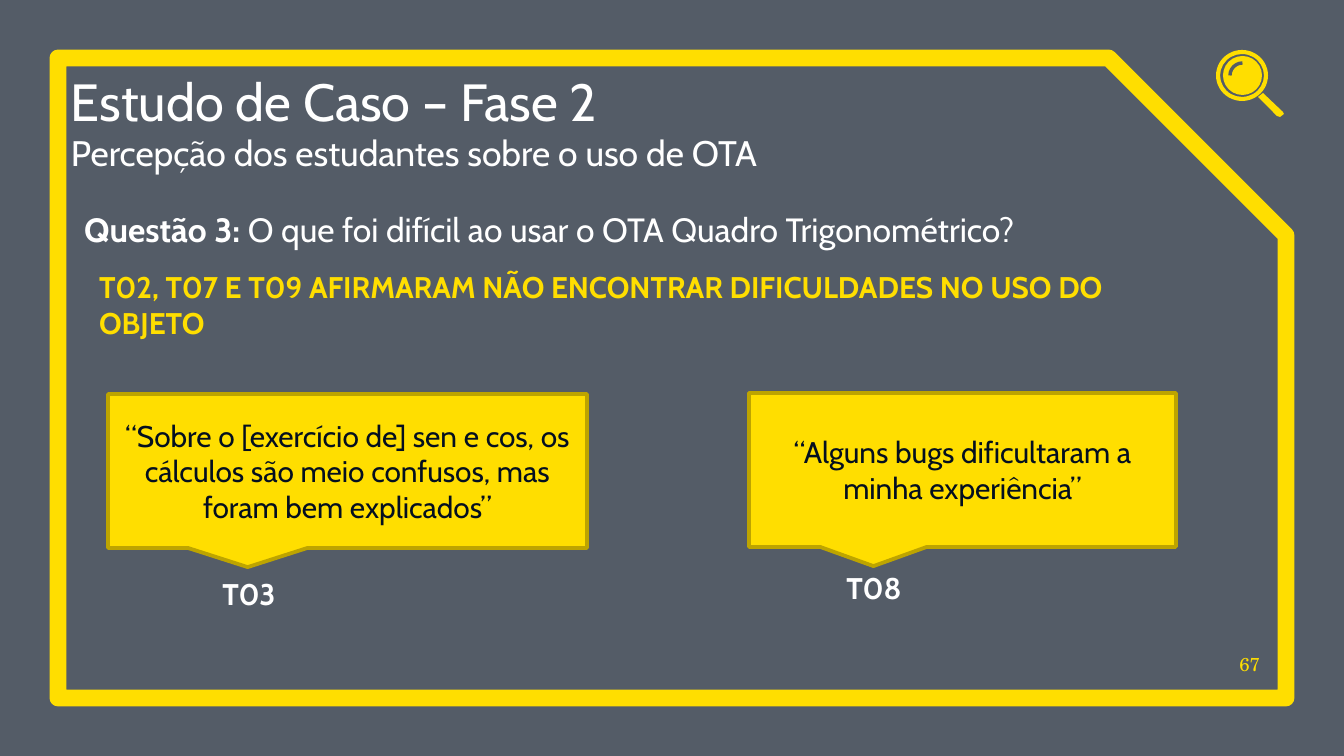
import lxml.etree
import pptx
import pptx.dml.color
import pptx.enum.shapes
import pptx.enum.text
import pptx.oxml.ns
import pptx.util

SCALE = 914400 / 134.4
SHAPE = pptx.enum.shapes.MSO_SHAPE
ALIGN = pptx.enum.text.PP_ALIGN
ANCHOR = pptx.enum.text.MSO_ANCHOR
YELLOW, WHITE, NAVY, GOLD, SLATE = "FFDE00", "FFFFFF", "040F20", "BDA400", "545C67"


def px(length):
    return pptx.util.Emu(round(length * SCALE))


def color(hex_code):
    return pptx.dml.color.RGBColor.from_string(hex_code)


def child(parent, tag, **attributes):
    return lxml.etree.SubElement(parent, pptx.oxml.ns.qn(tag), attributes)


def add_text_shadow(run):
    effects = child(run._r.get_or_add_rPr(), "a:effectLst")
    shadow = child(effects, "a:outerShdw", blurRad="38100", dist="38100",
                   dir="2700000", algn="tl")
    tint = child(shadow, "a:srgbClr", val="000000")
    child(tint, "a:alpha", val="43000")


def write(paragraph, text, size=16, hex_code=WHITE, bold=False, font="Cabin",
          align=ALIGN.LEFT, shadow=False):
    paragraph.alignment = align
    run = paragraph.add_run()
    run.text = text
    run.font.size = pptx.util.Pt(size)
    run.font.bold = bold
    run.font.color.rgb = color(hex_code)
    if shadow:
        add_text_shadow(run)
    run.font.name = font


class Deck:
    def __init__(self, width, height):
        self.presentation = pptx.Presentation()
        self.presentation.slide_width = px(width)
        self.presentation.slide_height = px(height)
        self.slide = self.presentation.slides.add_slide(self.presentation.slide_layouts[6])

    def paint(self, shape, fill=None, line=None, weight=1):
        shape.shadow.inherit = False
        if fill:
            shape.fill.solid()
            shape.fill.fore_color.rgb = color(fill)
        else:
            shape.fill.background()
        if line:
            shape.line.color.rgb = color(line)
            shape.line.width = pptx.util.Pt(weight)
        else:
            shape.line.fill.background()
        return shape

    def shape(self, kind, box, adjustments=(), **style):
        shape = self.slide.shapes.add_shape(kind, *map(px, box))
        for index, value in enumerate(adjustments):
            shape.adjustments[index] = value
        return self.paint(shape, **style)

    def polygon(self, points, **style):
        builder = self.slide.shapes.build_freeform(*points[0], scale=SCALE)
        builder.add_line_segments(points[1:], close=True)
        return self.paint(builder.convert_to_shape(), **style)

    def textbox(self, box, inset=True, anchor=ANCHOR.TOP):
        frame = self.slide.shapes.add_textbox(*map(px, box)).text_frame
        frame.word_wrap = True
        frame.vertical_anchor = anchor
        if not inset:
            frame.margin_left = frame.margin_right = 0
            frame.margin_top = frame.margin_bottom = 0
        return frame

    def quote(self, box, text):
        callout = self.shape(SHAPE.RECTANGULAR_CALLOUT, box, fill=YELLOW, line=GOLD, weight=2)
        frame = callout.text_frame
        frame.word_wrap = True
        frame.vertical_anchor = ANCHOR.MIDDLE
        write(frame.paragraphs[0], text, hex_code=NAVY, align=ALIGN.CENTER)

    def backdrop(self, width, height):
        veil = self.shape(SHAPE.RECTANGLE, (0, 0, width, height), fill=NAVY)
        tint = veil._element.spPr.find(".//" + pptx.oxml.ns.qn("a:srgbClr"))
        child(tint, "a:alpha", val="68000")

    def magnifier(self):
        self.shape(SHAPE.DONUT, (1216, 50, 52, 51), [0.08], fill=YELLOW)
        self.shape(SHAPE.OVAL, (1223, 56, 39, 39), fill=YELLOW)
        self.shape(SHAPE.ARC, (1230, 63, 25, 25), [108, 162], line=SLATE, weight=1.8)
        self.polygon([(1263, 93), (1258, 97), (1277, 116), (1280, 117),
                      (1284, 114), (1283, 112)], fill=YELLOW)


def main():
    width, height = 1344, 756
    deck = Deck(width, height)
    deck.backdrop(width, height)
    deck.shape(SHAPE.SNIP_1_RECTANGLE, (58, 58, 1228, 640), [0.277], line=YELLOW, weight=9)

    page_number = deck.textbox((1224, 637, 36, 38), inset=False, anchor=ANCHOR.BOTTOM)
    write(page_number.paragraphs[0], "67", size=10, hex_code=YELLOW,
          font="TeX Gyre Schola", align=ALIGN.RIGHT)
    deck.magnifier()

    heading = deck.textbox((71, 73, 1130, 101), inset=False, anchor=ANCHOR.BOTTOM)
    write(heading.paragraphs[0], "Estudo de Caso – Fase 2", size=28, shadow=True)
    write(heading.add_paragraph(), "Percepção dos estudantes sobre o uso de OTA",
          size=19, shadow=True)

    question = deck.textbox((71, 202, 1085, 54)).paragraphs[0]
    write(question, "Questão 3: ", size=18, bold=True)
    write(question, "O que foi difícil ao usar o OTA Quadro Trigonométrico?", size=18)

    finding = deck.textbox((86, 262, 1070, 86)).paragraphs[0]
    write(finding, "T02, T07 E T09 AFIRMARAM NÃO ENCONTRAR DIFICULDADES NO USO DO OBJETO",
          hex_code=YELLOW, bold=True)

    answers = [
        ("T03", (207, 569), (108, 394, 479, 154),
         "“Sobre o [exercício de] sen e cos, os cálculos são meio confusos, "
         "mas foram bem explicados”"),
        ("T08", (832, 563), (749, 393, 427, 154),
         "“Alguns bugs dificultaram a minha experiência”"),
    ]
    for student, corner, box, answer in answers:
        deck.quote(box, answer)
        label = deck.textbox((*corner, 84, 50))
        write(label.paragraphs[0], student, bold=True, align=ALIGN.CENTER)

    deck.presentation.save("out.pptx")


if __name__ == "__main__":
    main()
